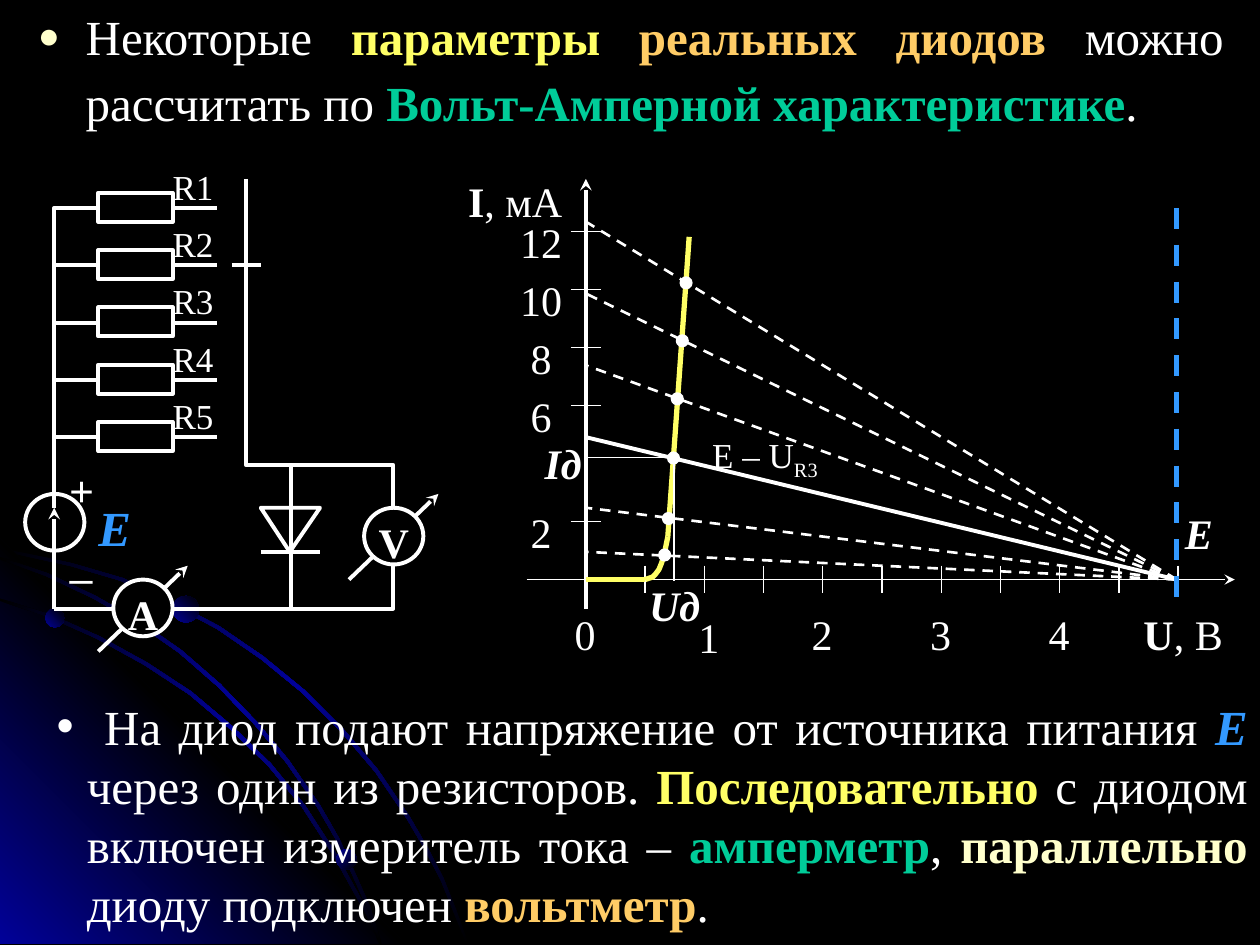
from copy import deepcopy

from lxml.etree import SubElement
from pptx import Presentation
from pptx.dml.color import RGBColor
from pptx.enum.dml import MSO_LINE
from pptx.enum.shapes import MSO_CONNECTOR, MSO_SHAPE
from pptx.enum.text import MSO_AUTO_SIZE, PP_ALIGN
from pptx.oxml.ns import qn
from pptx.util import Inches, Pt

WHITE, BLACK, YELLOW, GREEN = "FFFFFF", "000000", "FFFF66", "00CC99"
ORANGE, CREAM, BLUE, NAVY = "FFCC66", "FFFFCC", "3399FF", "010199"
SERIF = "Times New Roman"
ORIGIN_X, ORIGIN_Y, VOLT, MILLIAMP = 4.65, 4.6, 0.94, 0.23
SUPPLY_X = 9.34
WIRE_X, RESISTOR_X, RESISTOR_END = 0.43, 0.78, 1.37


def rgb(value):
    """Turn a hex string into a colour."""
    return RGBColor.from_string(value)


def paint(shape, fill=None, outline=None, width=2.25):
    """Set the fill and outline of a shape and drop its shadow."""
    shape.shadow.inherit = False
    if fill:
        shape.fill.solid()
        shape.fill.fore_color.rgb = rgb(fill)
    else:
        shape.fill.background()
    if outline:
        shape.line.color.rgb = rgb(outline)
        shape.line.width = Pt(width)
    else:
        shape.line.fill.background()


def blend(shape, colours, angle):
    """Fill a shape with evenly spaced gradient colours."""
    paint(shape)
    shape.fill.gradient()
    shape.fill.gradient_angle = (360 - angle) % 360
    stop_list = shape._element.spPr.find(qn("a:gradFill")).find(qn("a:gsLst"))
    for _ in colours[2:]:
        stop_list.append(deepcopy(stop_list[0]))
    for index, (stop, colour) in enumerate(zip(shape.fill.gradient_stops, colours)):
        stop.color.rgb = rgb(colour)
        stop.position = index / (len(colours) - 1)


def segment(slide, start, end, width=2.25, colour=WHITE, dashed=False, arrow=False):
    """Draw a straight line, optionally dashed or with an arrowhead."""
    ends = [Inches(value) for value in (*start, *end)]
    link = slide.shapes.add_connector(MSO_CONNECTOR.STRAIGHT, *ends)
    link.line.color.rgb = rgb(colour)
    link.line.width = Pt(width)
    if dashed:
        link.line.dash_style = MSO_LINE.DASH
    properties = link._element.spPr
    if arrow:
        SubElement(properties.get_or_add_ln(), qn("a:tailEnd"), type="stealth")
    SubElement(properties, qn("a:effectLst"))


def outline(slide, points, closed=False):
    """Return a freeform through the given points."""
    corners = [(Inches(x), Inches(y)) for x, y in points]
    builder = slide.shapes.build_freeform(*corners[0])
    builder.add_line_segments(corners[1:], close=closed)
    return builder.convert_to_shape()


def wire(slide, points, closed=False, colour=WHITE, width=2.25):
    """Draw an unfilled path."""
    paint(outline(slide, points, closed), None, colour, width)


def preset(slide, kind, left, top, width, height):
    """Add a preset shape."""
    return slide.shapes.add_shape(kind, *map(Inches, (left, top, width, height)))


def write(paragraph, runs, size):
    """Add runs of (text, colour, style), style holding b and i."""
    for text, colour, style in runs:
        run = paragraph.add_run()
        run.text = text
        run.font.name = SERIF
        run.font.size = Pt(size)
        run.font.color.rgb = rgb(colour)
        run.font.bold = "b" in style
        run.font.italic = "i" in style


def label(slide, left, top, width, runs, size=24, align=PP_ALIGN.CENTER, height=0.34):
    """Add a short label without margins and return its paragraph."""
    box = slide.shapes.add_textbox(*map(Inches, (left, top, width, height)))
    frame = box.text_frame
    frame.word_wrap = True
    frame.margin_left = frame.margin_right = frame.margin_top = frame.margin_bottom = 0
    paragraph = frame.paragraphs[0]
    paragraph.alignment = align
    write(paragraph, runs, size)
    return paragraph


def bulleted(frame, runs, indent, mark, before, colour=WHITE, percent=100):
    """Write one justified paragraph with a hanging bullet and return it."""
    frame.word_wrap = True
    frame.auto_size = MSO_AUTO_SIZE.NONE
    paragraph = frame.paragraphs[0]
    paragraph.alignment = PP_ALIGN.JUSTIFY
    paragraph.space_before = Pt(before)
    paragraph.line_spacing = 1.0
    write(paragraph, runs, 28)
    properties = paragraph._p.get_or_add_pPr()
    properties.set("marL", str(Inches(indent)))
    properties.set("indent", str(-Inches(indent)))
    SubElement(SubElement(properties, qn("a:buClr")), qn("a:srgbClr"), val=colour)
    SubElement(properties, qn("a:buSzPct"), val=str(percent * 1000))
    SubElement(properties, qn("a:buFont"), typeface="Arial")
    SubElement(properties, qn("a:buChar"), char=mark)
    return paragraph


def backdrop(slide):
    """Draw the glowing corner, its arcs and its beads."""
    outer = [(0, 4.36), (0.28, 4.42), (0.56, 4.48), (0.97, 4.6), (1.35, 4.78),
             (1.73, 4.98), (2.08, 5.22), (2.41, 5.49), (2.71, 5.79), (2.99, 6.12),
             (3.24, 6.49), (3.38, 6.73), (3.51, 6.98), (3.61, 7.23), (3.71, 7.49)]
    inner = [(0, 4.76), (0.4, 4.89), (0.78, 5.06), (1.16, 5.27), (1.51, 5.5),
             (1.83, 5.77), (2.14, 6.07), (2.41, 6.4), (2.65, 6.77), (2.85, 7.13),
             (2.95, 7.31), (3.02, 7.49)]
    middle = [(0, 4.43), (0.37, 4.56), (0.75, 4.74), (1.1, 4.94), (1.43, 5.17),
              (1.74, 5.44), (2.03, 5.74), (2.28, 6.04), (2.53, 6.4), (2.68, 6.66),
              (2.81, 6.94), (2.93, 7.21), (3.02, 7.49)]
    corner = [(3.22, 7.49), (0, 7.49), (0, 4.27)]
    for arc in (outer, corner, inner, middle):
        if arc is corner:
            blend(outline(slide, corner, True), (NAVY, BLACK, NAVY), 315)
            continue
        upper = [(x + 0.01 if x else 0, y - 0.01 if y < 7.49 else y) for x, y in arc]
        lower = [(x - 0.01 if x else 0, y + 0.01 if y < 7.49 else y) for x, y in arc]
        blend(outline(slide, upper + lower[::-1], True), (BLACK, NAVY, BLACK), 45)
    for left, top, size, angle in ((0.36, 4.83, 0.15, 315), (2.67, 6.74, 0.16, 45),
                                   (1.37, 4.73, 0.21, 315)):
        blend(preset(slide, MSO_SHAPE.OVAL, left, top, size, size), (NAVY, BLACK), angle)


def diode_curve(slide):
    """Draw the diode characteristic with its rounded knee."""
    knee = [(5.12, 4.6), (5.15, 4.59), (5.18, 4.58), (5.2, 4.56), (5.23, 4.52),
            (5.25, 4.47), (5.27, 4.41), (5.3, 4.26)]
    segment(slide, (ORIGIN_X, ORIGIN_Y), knee[0], 3, YELLOW)
    wire(slide, knee, colour=YELLOW, width=3)
    segment(slide, knee[-1], (5.47, 1.88), 3, YELLOW)


def graph(slide):
    """Draw the axes, load lines, diode curve and operating points."""
    supply = (SUPPLY_X, ORIGIN_Y)
    for current in (2, 6, 8, 10, 12):
        y = ORIGIN_Y - current * MILLIAMP
        segment(slide, (4.53, y), (4.77, y), 0.75)
        label(slide, 4.06, y - 0.12, 0.47, [(str(current), WHITE, "")])
    for half_volt in range(1, 11):
        x = ORIGIN_X + half_volt * VOLT / 2
        segment(slide, (x, 4.49), (x, 4.71), 0.75)
    for volts in range(5):
        left, top = (5.39, 4.85) if volts == 1 else (ORIGIN_X + volts * VOLT - 0.24, 4.83)
        label(slide, left, top, 0.47, [(str(volts), WHITE, "")])
    segment(slide, (ORIGIN_X, 4.83), (ORIGIN_X, 1.42), arrow=True)
    segment(slide, (4.18, ORIGIN_Y), (9.8, ORIGIN_Y), 0.75, arrow=True)
    for height in (1.13, 2.84, 2.27, 1.7, 0.57, 0.22):
        chosen = height == 1.13
        start = (ORIGIN_X, ORIGIN_Y - height)
        segment(slide, supply, start, 2.25 if chosen else 1.5, dashed=not chosen)
    diode_curve(slide)
    segment(slide, (ORIGIN_X, 3.63), (5.3, 3.63), 0.75)
    segment(slide, (5.35, 4.61), (5.35, 3.68), 0.75)
    for left, top in ((5.3, 3.59), (5.26, 4.07), (5.23, 4.36), (5.33, 3.12),
                      (5.37, 2.66), (5.4, 2.2)):
        paint(preset(slide, MSO_SHAPE.OVAL, left, top, 0.09, 0.09), WHITE, WHITE, 1)
    segment(slide, (SUPPLY_X, 1.65), (SUPPLY_X, 4.83), 3, BLUE, dashed=True)
    label(slide, 3.66, 1.39, 0.86, [("I", WHITE, "b"), (", мА", WHITE, "")])
    label(slide, 8.98, 4.83, 0.82, [("U", WHITE, "b"), (", В", WHITE, "")])
    for text, left, top, width in (("Iд", 4.29, 3.47, 0.36), ("Uд", 5.12, 4.6, 0.47),
                                   ("E", SUPPLY_X, 4.03, 0.35)):
        label(slide, left, top, width, [(text, WHITE, "bi")])
    load = label(slide, 5.55, 3.44, 0.94, [("Е – U", WHITE, ""), ("R3", WHITE, "")],
                 20, PP_ALIGN.RIGHT)
    load.runs[1].font._element.set("baseline", "-25000")


def meter(slide, left, top, letter):
    """Draw a round meter crossed by an arrow."""
    segment(slide, (left - 0.12, top + 0.57), (left + 0.59, top - 0.11), arrow=True)
    paint(preset(slide, MSO_SHAPE.OVAL, left, top, 0.47, 0.45), BLACK, WHITE)
    label(slide, left, top + 0.07, 0.47, [(letter, WHITE, "b")])


def circuit(slide):
    """Draw the resistors, source, meters, diode and wiring."""
    for index in range(5):
        y = 1.65 + index * 0.455
        paint(preset(slide, MSO_SHAPE.RECTANGLE, RESISTOR_X, y - 0.12, 0.59, 0.23), None, WHITE)
        if index:
            segment(slide, (WIRE_X, y), (RESISTOR_X, y))
        segment(slide, (RESISTOR_END, y), (1.72, y))
        label(slide, RESISTOR_END, y - 0.34, 0.47, [(f"R{index + 1}", WHITE, "")],
              20, PP_ALIGN.LEFT)
    paint(preset(slide, MSO_SHAPE.OVAL, 0.2, 3.92, 0.47, 0.45), None, WHITE)
    segment(slide, (WIRE_X, 4.83), (WIRE_X, 4.03), arrow=True)
    segment(slide, (WIRE_X, 4.83), (0.9, 4.83))
    segment(slide, (2.07, 4.38), (2.54, 4.38))
    segment(slide, (1.84, 2.1), (2.07, 2.1))
    wire(slide, [(2.07, 4.03), (2.54, 4.03), (2.3, 4.38)], closed=True)
    for route in ([(WIRE_X, 4.03), (WIRE_X, 1.65), (RESISTOR_X, 1.65)],
                  [(1.95, 1.42), (1.95, 3.69), (2.31, 3.69), (2.31, 4.83), (1.37, 4.83)],
                  [(2.31, 3.69), (3.12, 3.69), (3.12, 4.03)],
                  [(2.31, 4.83), (3.12, 4.83), (3.12, 4.49)]):
        wire(slide, route)
    meter(slide, 2.89, 4.03, "V")
    meter(slide, 0.9, 4.6, "А")
    label(slide, 0.78, 3.95, 0.61, [("E", BLUE, "bi")], 28, PP_ALIGN.LEFT, 0.44)
    for sign, top in (("+", 3.69), ("–", 4.38)):
        pole = label(slide, 0.55, top, 0.23, [(sign, WHITE, "")], 24, PP_ALIGN.LEFT, 0.23)
        pole.runs[0].font.name = "Arial"


def texts(slide):
    """Fill the statement at the top and the explanation at the bottom."""
    statement = slide.placeholders[1]
    statement.left, statement.top, statement.width, statement.height = map(
        Inches, (0.2, 0, 9.61, 1.18))
    rule = bulleted(statement.text_frame, [
        ("Некоторые ", WHITE, ""), ("параметры ", YELLOW, "b"),
        ("реальных диодов", ORANGE, "b"), (" можно рассчитать по ", WHITE, ""),
        ("Вольт-Амперной характеристике", GREEN, "b"), (".", WHITE, ""),
        (" ", WHITE, "")], 0.38, "●", 0, CREAM, 75)
    rule.runs[-1].font.name = "Arial"
    rule.runs[-1].font.size = Pt(32)
    explanation = slide.shapes.add_textbox(*map(Inches, (0.35, 5.48, 9.65, 1.97)))
    bulleted(explanation.text_frame, [
        (" На диод подают напряжение от источника питания ", WHITE, ""),
        ("E ", BLUE, "bi"), ("через один из резисторов. ", WHITE, ""),
        ("Последовательно", YELLOW, "b"),
        (" с диодом включен измеритель тока – ", WHITE, ""),
        ("амперметр", GREEN, "b"), (", ", WHITE, ""), ("параллельно", CREAM, "b"),
        (" диоду подключен ", WHITE, ""), ("вольтметр", ORANGE, "b"), (".", WHITE, "")],
        0.24, "•", 5)


def main():
    """Build the slide and save it."""
    deck = Presentation()
    deck.slide_width, deck.slide_height = Inches(10), Inches(7.5)
    slide = deck.slides.add_slide(deck.slide_layouts[1])
    slide.background.fill.solid()
    slide.background.fill.fore_color.rgb = rgb(BLACK)
    unused_title = slide.shapes.title._element
    unused_title.getparent().remove(unused_title)
    for draw in (backdrop, graph, circuit, texts):
        draw(slide)
    deck.save("out.pptx")


main()
